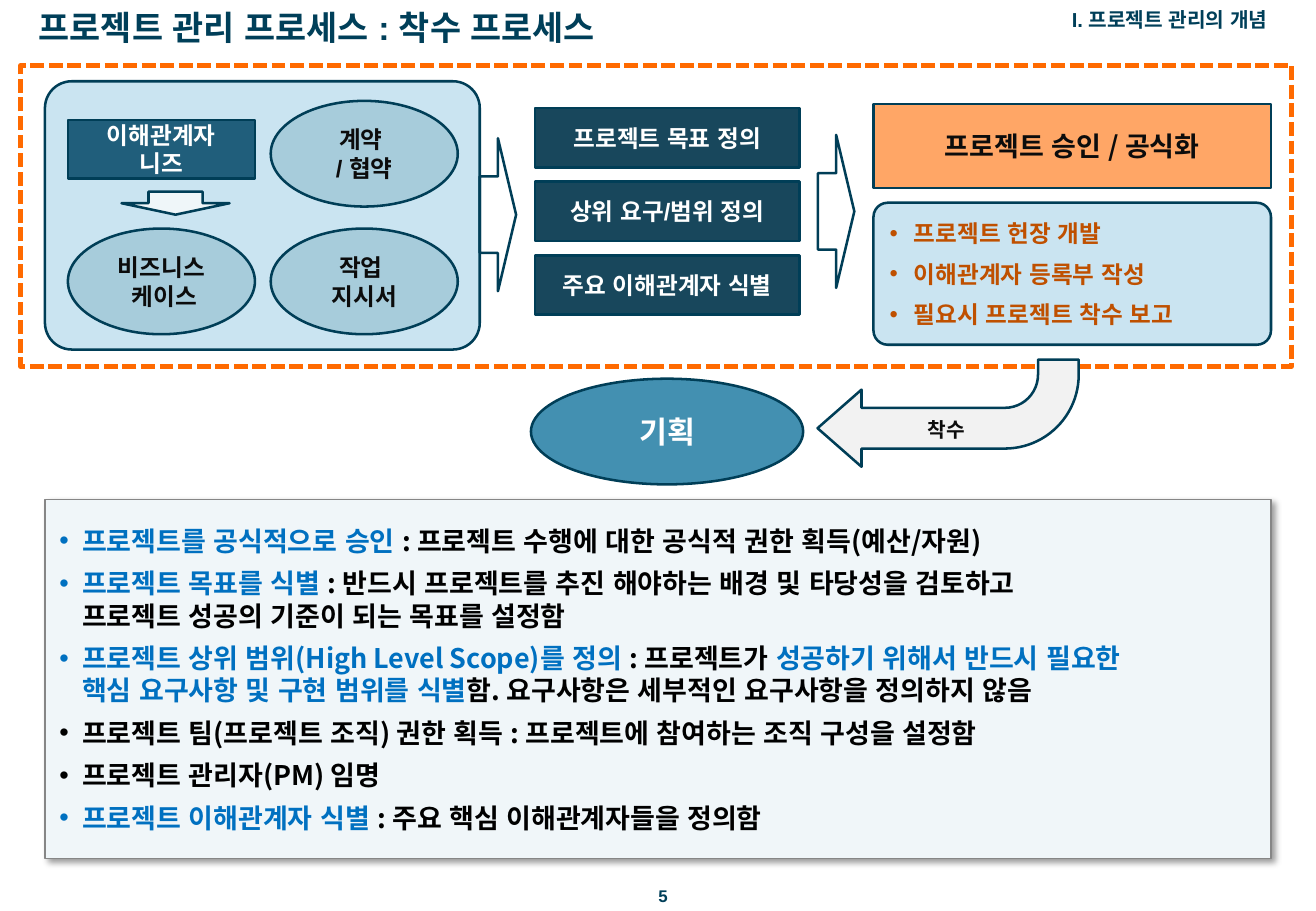
from dataclasses import dataclass

from lxml import etree
from pptx import Presentation
from pptx.dml.color import RGBColor
from pptx.enum.dml import MSO_LINE
from pptx.enum.lang import MSO_LANGUAGE_ID
from pptx.enum.shapes import MSO_SHAPE
from pptx.enum.text import MSO_ANCHOR, MSO_AUTO_SIZE, PP_ALIGN
from pptx.oxml.ns import qn
from pptx.util import Cm, Pt

RECTANGLE = MSO_SHAPE.RECTANGLE
ROUNDED = MSO_SHAPE.ROUNDED_RECTANGLE
OVAL = MSO_SHAPE.OVAL
DOWN_ARROW = MSO_SHAPE.DOWN_ARROW
BENT_ARROW = MSO_SHAPE.BENT_ARROW
DASH = MSO_LINE.SQUARE_DOT
KOREAN = MSO_LANGUAGE_ID.KOREAN
MIDDLE = MSO_ANCHOR.MIDDLE
NO_AUTOFIT = MSO_AUTO_SIZE.NONE
LEFT, CENTER, RIGHT = PP_ALIGN.LEFT, PP_ALIGN.CENTER, PP_ALIGN.RIGHT

LATIN_FONT = "Arial"
KOREAN_FONT = "Noto Sans CJK KR"
COLORS = {
    "navy": "003F59", "outline": "003E57", "white": "FFFFFF", "ink": "0C0C0C",
    "black": "000000", "blue": "0070C0", "rust": "BF5000", "panel": "CAE4F1",
    "input": "A7CCDB", "needs": "205E7B", "goal": "18475C", "approval": "FFA666",
    "plan": "4390B1", "frame": "FF6A00", "pale": "EFF6F9", "arrow": "F2F2F2",
    "notes": "F0F6F9", "gray": "868686",
}


@dataclass
class Block:
    kind: MSO_SHAPE
    left: float
    top: float
    width: float
    height: float
    fill: str = ""
    text: str = ""
    color: str = "ink"
    size: float = 14
    font: str = LATIN_FONT
    line: str = "outline"
    line_width: float = 1.5
    rotation: float = 0
    adjustments: tuple = ()


GOALS = ["프로젝트 목표 정의", "상위 요구/범위 정의", "주요 이해관계자 식별"]
OUTCOMES = ["프로젝트 헌장 개발", "이해관계자 등록부 작성", "필요시 프로젝트 착수 보고"]
NOTES = [
    [("프로젝트를 공식적으로 승인 ", "blue"),
     (": 프로젝트 수행에 대한 공식적 권한 획득(예산/자원)", "black")],
    [("프로젝트 목표를 식별 ", "blue"),
     (": 반드시 프로젝트를 추진 해야하는 배경 및 타당성을 검토하고\n"
      "프로젝트 성공의 기준이 되는 목표를 설정함", "black")],
    [("프로젝트 상위 범위(High Level Scope)를 정의 ", "blue"),
     (": 프로젝트가 ", "black"),
     ("성공하기 위해서 반드시 필요한\n핵심 요구사항 및 구현 범위를 식별", "blue"),
     ("함. 요구사항은 세부적인 요구사항을 정의하지 않음", "black")],
    [("프로젝트 팀(프로젝트 조직) 권한 획득 : 프로젝트에 참여하는 조직 구성을 설정함", "black")],
    [("프로젝트 관리자(PM) 임명", "black")],
    [("프로젝트 이해관계자 식별 ", "blue"), (": 주요 핵심 이해관계자들을 정의함", "black")],
]
BLOCKS = [
    Block(ROUNDED, 0.94, 1.7, 9.09, 5.61, "panel", adjustments=(0.1,)),
    *[Block(OVAL, left, top, 3.91, 2.21, "input", text) for left, top, text in (
        (1.42, 4.78, "비즈니스\n 케이스"),
        (5.66, 2.11, "계약 \n/ 협약"),
        (5.66, 4.78, "작업 \n지시서"),
    )],
    Block(RECTANGLE, 1.42, 2.51, 3.91, 1.22, "needs", "이해관계자\n니즈", "white"),
    Block(DOWN_ARROW, 2.54, 4.01, 2.26, 0.48, "pale"),
    Block(DOWN_ARROW, 8.81, 4.11, 3.2, 0.76, rotation=270),
    *[Block(RECTANGLE, 11.18, 2.26 + 1.54 * row, 5.54, 1.24, "goal", text, "white")
      for row, text in enumerate(GOALS)],
    Block(DOWN_ARROW, 15.88, 4.04, 3.2, 0.76, rotation=270),
    Block(RECTANGLE, 18.26, 2.18, 8.31, 1.75, "approval", "프로젝트 승인 / 공식화",
          size=16, font=KOREAN_FONT),
    Block(OVAL, 11.1, 7.92, 5.69, 2.21, "plan", "기획", "white", 18),
    Block(RECTANGLE, 0.43, 1.37, 26.57, 6.3, line="frame", line_width=2.75),
    Block(BENT_ARROW, 17.09, 7.52, 5.46, 2.24, "arrow", rotation=180,
          adjustments=(0.38, 0.36, 0.41, 0.69)),
]


def rgb(name: str) -> RGBColor:
    return RGBColor.from_string(COLORS[name])


def place(shape, left: float, top: float, width: float, height: float) -> None:
    shape.left, shape.top = Cm(left), Cm(top)
    shape.width, shape.height = Cm(width), Cm(height)


def set_margins(frame, horizontal: float, vertical: float) -> None:
    frame.margin_left = frame.margin_right = Cm(horizontal)
    frame.margin_top = frame.margin_bottom = Cm(vertical)


def paint(shape, fill: str, line: str, width: float) -> None:
    if fill:
        shape.fill.solid()
        shape.fill.fore_color.rgb = rgb(fill)
    else:
        shape.fill.background()
    shape.line.color.rgb = rgb(line)
    shape.line.width = Pt(width)


def add_text(paragraph, text: str, *, size: float, color: str, font: str = LATIN_FONT) -> None:
    for index, part in enumerate(text.split("\n")):
        if index:
            paragraph.add_line_break()
        run = paragraph.add_run()
        run.text = part
        run.font.name = font
        run.font.size = Pt(size)
        run.font.bold = True
        run.font.color.rgb = rgb(color)
        run.font.language_id = KOREAN
        east_asian = etree.Element(qn("a:ea"), typeface=KOREAN_FONT)
        run.font._element.find(qn("a:latin")).addnext(east_asian)


def fill_list(frame, items: list, *, size: float, font: str, indent: float, gap: float) -> None:
    frame.word_wrap = True
    frame.auto_size = NO_AUTOFIT
    frame.vertical_anchor = MIDDLE
    for index, runs in enumerate(items):
        paragraph = frame.add_paragraph() if index else frame.paragraphs[0]
        paragraph.alignment = LEFT
        paragraph.space_before = Pt(gap)
        properties = paragraph._p.get_or_add_pPr()
        properties.set("marL", str(Cm(indent)))
        properties.set("indent", str(-Cm(indent)))
        etree.SubElement(properties, qn("a:buFont"), typeface=LATIN_FONT)
        etree.SubElement(properties, qn("a:buChar"), char="•")
        for text, color in runs:
            add_text(paragraph, text, size=size, color=color, font=font)


def add_block(slide, block: Block):
    shape = slide.shapes.add_shape(
        block.kind, Cm(block.left), Cm(block.top), Cm(block.width), Cm(block.height))
    shape.shadow.inherit = False
    shape.rotation = block.rotation
    for index, value in enumerate(block.adjustments):
        shape.adjustments[index] = value
    paint(shape, block.fill, block.line, block.line_width)
    if block.line == "frame":
        shape.line.dash_style = DASH
    if block.text:
        shape.text_frame.vertical_anchor = MIDDLE
        paragraph = shape.text_frame.paragraphs[0]
        paragraph.alignment = CENTER
        add_text(paragraph, block.text, size=block.size, color=block.color, font=block.font)
    return shape


def add_label(slide, text: str, left: float, top: float, width: float, height: float, *,
              size: float, color: str, alignment: PP_ALIGN) -> None:
    box = slide.shapes.add_textbox(Cm(left), Cm(top), Cm(width), Cm(height))
    frame = box.text_frame
    frame.word_wrap = True
    frame.vertical_anchor = MIDDLE
    set_margins(frame, 0.25, 0)
    frame.paragraphs[0].alignment = alignment
    add_text(frame.paragraphs[0], text, size=size, color=color)


def format_title(title) -> None:
    place(title, 0.56, 0.13, 19.71, 0.86)
    frame = title.text_frame
    frame.auto_size = NO_AUTOFIT
    frame.vertical_anchor = MIDDLE
    set_margins(frame, 0.25, 0)
    frame.paragraphs[0].alignment = LEFT
    add_text(frame.paragraphs[0], "프로젝트 관리 프로세스 : 착수 프로세스", size=20, color="navy")


def format_notes(notes) -> None:
    place(notes, 0.94, 10.44, 25.63, 7.52)
    paint(notes, "notes", "gray", 0.75)
    effects = etree.SubElement(notes._element.spPr, qn("a:effectLst"))
    shadow = etree.SubElement(effects, qn("a:outerShdw"), blurRad=str(Pt(4)),
                              dist=str(Pt(3)), dir="2700000", algn="tl", rotWithShape="0")
    color = etree.SubElement(shadow, qn("a:srgbClr"), val=COLORS["black"])
    etree.SubElement(color, qn("a:alpha"), val="40000")
    set_margins(notes.text_frame, 0.3, 0.2)
    fill_list(notes.text_frame, NOTES, size=16, font=KOREAN_FONT, indent=0.48, gap=6)


def main() -> None:
    presentation = Presentation()
    presentation.slide_width, presentation.slide_height = Cm(27.51), Cm(19.05)
    slide = presentation.slides.add_slide(presentation.slide_layouts[1])
    format_title(slide.shapes.title)
    format_notes(slide.placeholders[1])
    for block in BLOCKS:
        add_block(slide, block)
    outcomes = add_block(
        slide, Block(ROUNDED, 18.26, 4.24, 8.31, 2.97, "panel", adjustments=(0.1,)))
    fill_list(outcomes.text_frame, [[(text, "rust")] for text in OUTCOMES],
              size=14, font=LATIN_FONT, indent=0.51, gap=7)
    add_label(slide, "I. 프로젝트 관리의 개념", 16.46, 0.15, 10.29, 0.51,
              size=12, color="navy", alignment=RIGHT)
    add_label(slide, "착수", 19.15, 8.61, 1.37, 0.76, size=12, color="ink", alignment=LEFT)
    add_label(slide, "5", 13.36, 18.52, 1, 0.43, size=10, color="navy", alignment=CENTER)
    presentation.save("out.pptx")


if __name__ == "__main__":
    main()
